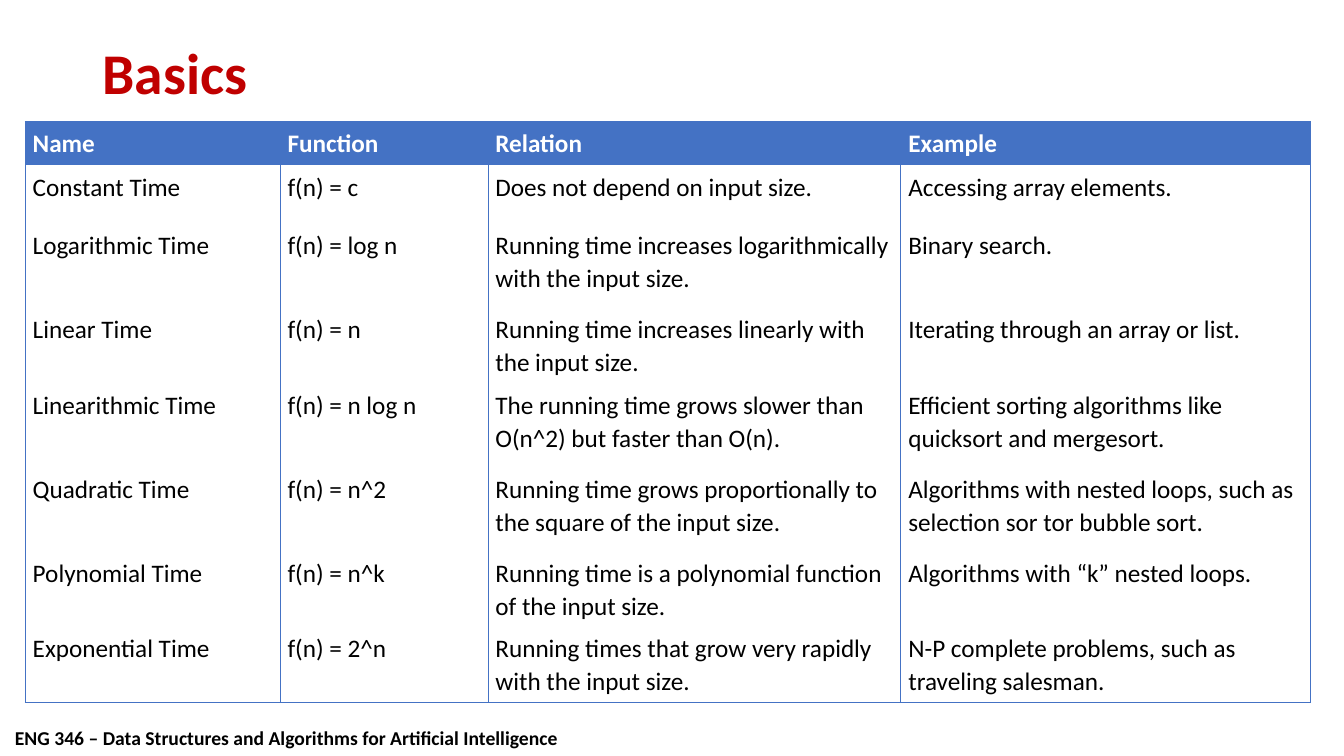
"""Build a slide with a table of common algorithm running times."""
import pptx
import pptx.dml.color
import pptx.enum.text
import pptx.oxml
import pptx.oxml.ns
import pptx.util

Pt = pptx.util.Pt
RGBColor = pptx.dml.color.RGBColor
MSO_ANCHOR = pptx.enum.text.MSO_ANCHOR
PP_ALIGN = pptx.enum.text.PP_ALIGN
MSO_AUTO_SIZE = pptx.enum.text.MSO_AUTO_SIZE

RED = RGBColor(0xC0, 0x00, 0x00)
BLUE = RGBColor(0x44, 0x72, 0xC4)
BLACK = RGBColor(0x00, 0x00, 0x00)
WHITE = RGBColor(0xFF, 0xFF, 0xFF)

NO_GRID_STYLE = "{2D5ABB26-0587-4C30-8999-92F81FD0307C}"
COL_WIDTHS = [182, 148.5, 295, 292.5]
ROW_HEIGHTS = [31, 42, 60, 54, 60, 60, 54, 54]
ROWS = [
    ("Name", "Function", "Relation", "Example"),
    ("Constant Time", "f(n) = c", "Does not depend on input size.",
     "Accessing array elements."),
    ("Logarithmic Time", "f(n) = log n",
     "Running time increases logarithmically with the input size.",
     "Binary search."),
    ("Linear Time", "f(n) = n",
     "Running time increases linearly with the input size.",
     "Iterating through an array or list."),
    ("Linearithmic Time", "f(n) = n log n",
     "The running time grows slower than O(n^2) but faster than O(n).",
     "Efficient sorting algorithms like quicksort and mergesort."),
    ("Quadratic Time", "f(n) = n^2",
     "Running time grows proportionally to the square of the input size.",
     "Algorithms with nested loops, such as selection sor tor bubble sort."),
    ("Polynomial Time", "f(n) = n^k",
     "Running time is a polynomial function of the input size.",
     "Algorithms with “k” nested loops."),
    ("Exponential Time", "f(n) = 2^n",
     "Running times that grow very rapidly with the input size.",
     "N-P complete problems, such as traveling salesman."),
]


class Deck:
    def __init__(self, width, height, font="Calibri"):
        self.prs = pptx.Presentation()
        self.prs.slide_width, self.prs.slide_height = Pt(width), Pt(height)
        self.font = font
        self.s = self.prs.slides.add_slide(self.prs.slide_layouts[5])

    def style(self, p, size, color, bold=False, spacing=None):
        p.alignment = PP_ALIGN.LEFT
        p.line_spacing = spacing
        p.font.name, p.font.size, p.font.bold = self.font, Pt(size), bold
        p.font.color.rgb = color

    def title(self, text, x, y, w, h):
        sp = self.s.shapes.title
        sp.left, sp.top, sp.width, sp.height = Pt(x), Pt(y), Pt(w), Pt(h)
        tf = sp.text_frame
        tf.text = text
        tf.auto_size = MSO_AUTO_SIZE.NONE
        tf.vertical_anchor = MSO_ANCHOR.MIDDLE
        self.style(tf.paragraphs[0], 41.1, RED, True, 0.9)

    def text(self, text, x, y, w, h):
        tf = self.s.shapes.add_textbox(Pt(x), Pt(y), Pt(w), Pt(h)).text_frame
        tf.text = text
        tf.word_wrap = False
        tf.auto_size = MSO_AUTO_SIZE.SHAPE_TO_FIT_TEXT
        self.style(tf.paragraphs[0], 14, BLACK, True)

    def borders(self, cell, sides):
        tc_pr = cell._tc.get_or_add_tcPr()
        for i, side in enumerate(sides):
            tc_pr.insert(i, pptx.oxml.parse_xml(
                f'<a:ln{side} {pptx.oxml.ns.nsdecls("a")} w="{Pt(0.5)}">'
                f'<a:solidFill><a:srgbClr val="{BLUE}"/></a:solidFill>'
                f'</a:ln{side}>'))

    def cell(self, cell, text, header, sides):
        cell.text = text
        cell.margin_left = cell.margin_right = Pt(5.4)
        cell.margin_top = cell.margin_bottom = Pt(3.6)
        cell.fill.solid()
        cell.fill.fore_color.rgb = BLUE if header else WHITE
        self.style(cell.text_frame.paragraphs[0], 18,
                   WHITE if header else BLACK, header, 1.07)
        self.borders(cell, sides)

    def table(self, rows, widths, heights, x, y):
        table = self.s.shapes.add_table(
            len(rows), len(widths), Pt(x), Pt(y),
            Pt(sum(widths)), Pt(sum(heights))).table
        table._tbl.tblPr.find(
            pptx.oxml.ns.qn("a:tableStyleId")).text = NO_GRID_STYLE
        table.horz_banding = False
        for col, width in zip(table.columns, widths):
            col.width = Pt(width)
        for row, height in zip(table.rows, heights):
            row.height = Pt(height)
        for i, row in enumerate(rows):
            for j, text in enumerate(row):
                sides = [side for side, shown in (
                    ("L", i > 0 or j == 0),
                    ("R", i > 0 or j == len(row) - 1),
                    ("T", i == 0),
                    ("B", i == len(rows) - 1)) if shown]
                self.cell(table.cell(i, j), text, i == 0, sides)


def main():
    deck = Deck(960, 540)
    deck.text("ENG 346 – Data Structures and Algorithms for "
              "Artificial Intelligence", 3.6, 515, 405, 24)
    deck.title("Basics", 66, 29, 828, 50.4)
    deck.table(ROWS, COL_WIDTHS, ROW_HEIGHTS, 18, 86.8)
    deck.prs.save("out.pptx")


if __name__ == "__main__":
    main()
